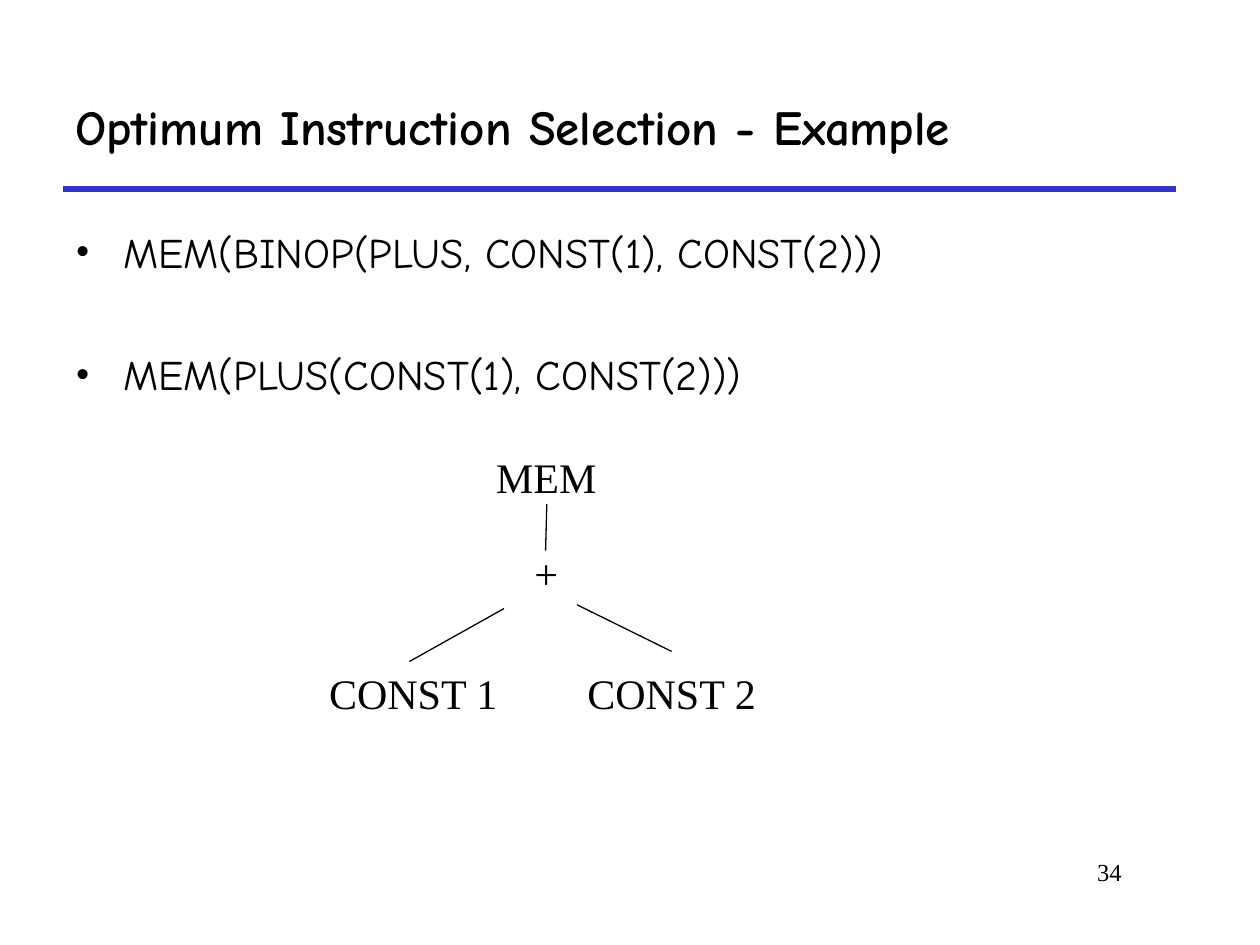
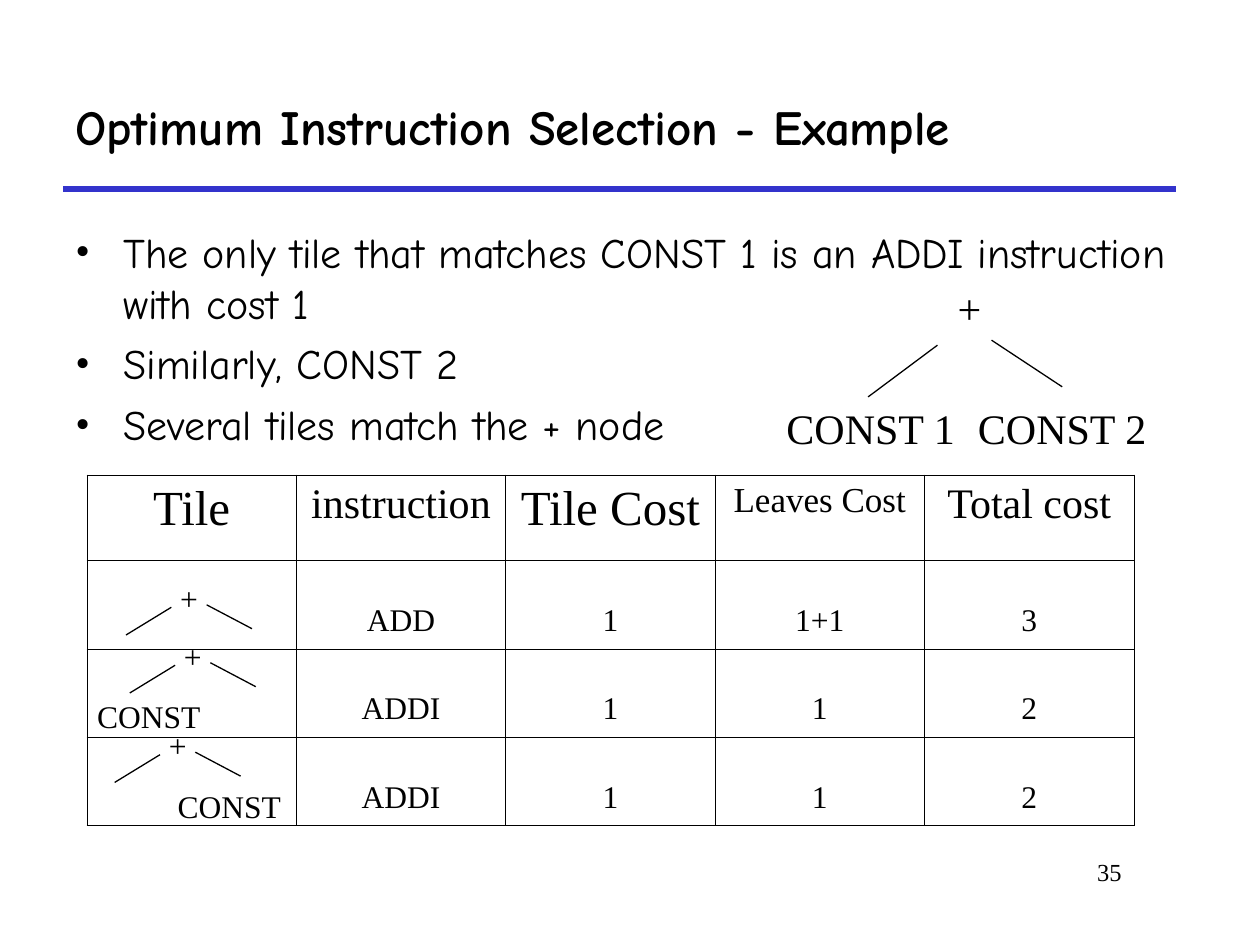
import pptx
import pptx.util
import pptx.dml.color
import pptx.enum.shapes
import pptx.enum.text
import pptx.oxml.ns
import lxml.etree
from pptx.util import Inches

COLOURS = {"ink": "000000", "paper": "FFFFFF", "rule": "3333CC"}
HEADING_FONT = "Comic Neue"
SERIF_FONT = "Times New Roman"
ALIGN = pptx.enum.text.PP_ALIGN
ANCHOR = pptx.enum.text.MSO_ANCHOR

TITLE = "Optimum Instruction Selection - Example"
HEADERS = [("Tile", 28), ("instruction", 24), ("Tile Cost", 28),
           ("Leaves Cost", 20), ("Total cost", 24)]
COST_ROWS = [("", "ADD", "1", "1+1", "3"),
             ("", "ADDI", "1", "1", "2"),
             ("", "ADDI", "1", "1", "2")]

# Branches and leaves are offsets from the top left corner of the root's box.
WIDE_BRANCHES = [(-0.14, 0.49, -0.89, 0.91), (0.44, 0.46, 1.19, 0.83)]
NARROW_BRANCHES = [(-0.06, 0.5, -0.61, 0.91), (0.37, 0.46, 0.93, 0.83)]
TILE_BRANCHES = [(0.03, 0.24, -0.33, 0.46), (0.31, 0.22, 0.67, 0.41)]


def colour(name):
    return pptx.dml.color.RGBColor.from_string(COLOURS[name])


def add_xml(parent, tag, **attributes):
    return lxml.etree.SubElement(parent, pptx.oxml.ns.qn(tag), attributes)


def write(para, text, size=24, font=SERIF_FONT, bold=False, align=ALIGN.LEFT,
          before=0, spacing=None):
    para.alignment = align
    para.space_before = pptx.util.Pt(before)
    if spacing:
        para.line_spacing = spacing
    span = para.add_run()
    span.text = text
    span.font.size = pptx.util.Pt(size)
    span.font.name = font
    span.font.bold = bold
    span.font.color.rgb = colour("ink")


def add_box(shapes, left, top, width, height, anchor=ANCHOR.TOP):
    box = shapes.add_textbox(Inches(left), Inches(top), Inches(width), Inches(height))
    box.text_frame.word_wrap = True
    box.text_frame.vertical_anchor = anchor
    return box.text_frame


def add_line(shapes, start_x, start_y, end_x, end_y, ink="ink", weight=0.75):
    line = shapes.add_connector(
        pptx.enum.shapes.MSO_CONNECTOR.STRAIGHT,
        Inches(start_x), Inches(start_y), Inches(end_x), Inches(end_y))
    line.line.color.rgb = colour(ink)
    line.line.width = pptx.util.Pt(weight)
    add_xml(line._element.spPr, "a:effectLst")


def add_node(shapes, text, left, top, width, size):
    """Add a centred one-line label, with a little slack so it never wraps."""
    slack = 0.05
    frame = add_box(shapes, left - slack, top, width + 2 * slack,
                    0.46 if size == 24 else 0.37)
    frame.word_wrap = False
    frame.auto_size = pptx.enum.text.MSO_AUTO_SIZE.SHAPE_TO_FIT_TEXT
    write(frame.paragraphs[0], text, size=size, align=ALIGN.CENTER,
          before=size / 4, spacing=0.9)


def add_plus_tree(slide, left, top, branches, leaves, leaf_top=0.95,
                  root_width=0.39, leaf_width=1.54, size=24):
    """Draw a + node, its branches and its (text, offset) leaves as a group."""
    shapes = slide.shapes.add_group_shape().shapes
    add_node(shapes, "+", left, top, root_width, size)
    for start_x, start_y, end_x, end_y in branches:
        add_line(shapes, left + start_x, top + start_y, left + end_x, top + end_y)
    for text, offset in leaves:
        add_node(shapes, text, left + offset, top + leaf_top, leaf_width, size)
    return shapes


def add_tile(slide, left, top, leaves):
    add_plus_tree(slide, left, top, TILE_BRANCHES, leaves, leaf_top=0.48,
                  root_width=0.34, leaf_width=1.02, size=18)


def add_bullets(slide, items, gap=6):
    frame = add_box(slide.shapes, 0.5, 1.75, 9.08, 2.33)
    for index, item in enumerate(items):
        para = frame.add_paragraph() if index else frame.paragraphs[0]
        write(para, item, font=HEADING_FONT, before=gap if index else 6)
        properties = para._p.get_or_add_pPr()
        properties.set("marL", str(Inches(0.38)))
        properties.set("indent", str(-Inches(0.38)))
        bullet_colour = add_xml(properties, "a:buClr")
        add_xml(bullet_colour, "a:srgbClr", val=COLOURS["ink"])
        add_xml(properties, "a:buFont", typeface=SERIF_FONT)
        add_xml(properties, "a:buChar", char="•")


def add_borders(cell):
    properties = cell._tc.get_or_add_tcPr()
    for side in ("a:lnL", "a:lnR", "a:lnT", "a:lnB"):
        border = add_xml(properties, side, w=str(pptx.util.Pt(0.45)))
        fill = add_xml(border, "a:solidFill")
        add_xml(fill, "a:srgbClr", val=COLOURS["ink"])


def fill_cell(cell, text, size):
    add_borders(cell)
    cell.fill.solid()
    cell.fill.fore_color.rgb = colour("paper")
    if text:
        write(cell.text_frame.paragraphs[0], text, size=size, align=ALIGN.CENTER)


def add_cost_table(slide):
    table = slide.shapes.add_table(
        len(COST_ROWS) + 1, len(HEADERS),
        Inches(0.69), Inches(3.77), Inches(8.31), Inches(2.78)).table
    table.first_row = False
    table.horz_banding = False
    for index, row in enumerate(table.rows):
        row.height = Inches(0.7 if index else 0.68)
    for column, (text, size) in enumerate(HEADERS):
        fill_cell(table.cell(0, column), text, size)
    for row, values in enumerate(COST_ROWS, start=1):
        for column, text in enumerate(values):
            cell = table.cell(row, column)
            fill_cell(cell, text, 18)
            cell.margin_top = Inches(0.34)


def add_page(deck, number):
    """Add a slide with the shared rule, title and page number."""
    slide = deck.slides.add_slide(deck.slide_layouts[6])
    add_line(slide.shapes, 0.5, 1.5, 9.33, 1.5, ink="rule", weight=3)
    footer = add_box(slide.shapes, 6.92, 6.75, 2.08, 0.5)
    write(footer.paragraphs[0], str(number), size=14, align=ALIGN.RIGHT)
    title = add_box(slide.shapes, 0.5, 0.5, 8.83, 1, anchor=ANCHOR.MIDDLE)
    write(title.paragraphs[0], TITLE, size=28, font=HEADING_FONT, bold=True)
    return slide


def build_expression_page(deck):
    slide = add_page(deck, 34)
    add_bullets(slide, ["MEM(BINOP(PLUS, CONST(1), CONST(2)))",
                        "MEM(PLUS(CONST(1), CONST(2)))"], gap=41)
    tree = add_plus_tree(slide, 4.14, 4.34, WIDE_BRANCHES,
                         [("CONST 1", -1.63), ("CONST 2", 0.42)])
    add_node(tree, "MEM", 3.84, 3.58, 0.99, 24)
    add_line(tree, 4.34, 4, 4.33, 4.37)


def build_cost_page(deck):
    slide = add_page(deck, 35)
    add_bullets(slide, [
        "The only tile that matches CONST 1 is an ADDI instruction with cost 1",
        "Similarly, CONST 2",
        "Several tiles match the + node"])
    add_plus_tree(slide, 7.5, 2.24, NARROW_BRANCHES,
                  [("CONST 1", -1.36), ("CONST 2", 0.16)])
    add_cost_table(slide)
    add_tile(slide, 1.33, 4.58, [])
    add_tile(slide, 1.36, 5.04, [("CONST", -0.69)])
    add_tile(slide, 1.24, 5.75, [("CONST", 0.07)])


def main():
    deck = pptx.Presentation()
    deck.slide_width = Inches(10)
    deck.slide_height = Inches(7.5)
    build_expression_page(deck)
    build_cost_page(deck)
    deck.save("out.pptx")


if __name__ == "__main__":
    main()
